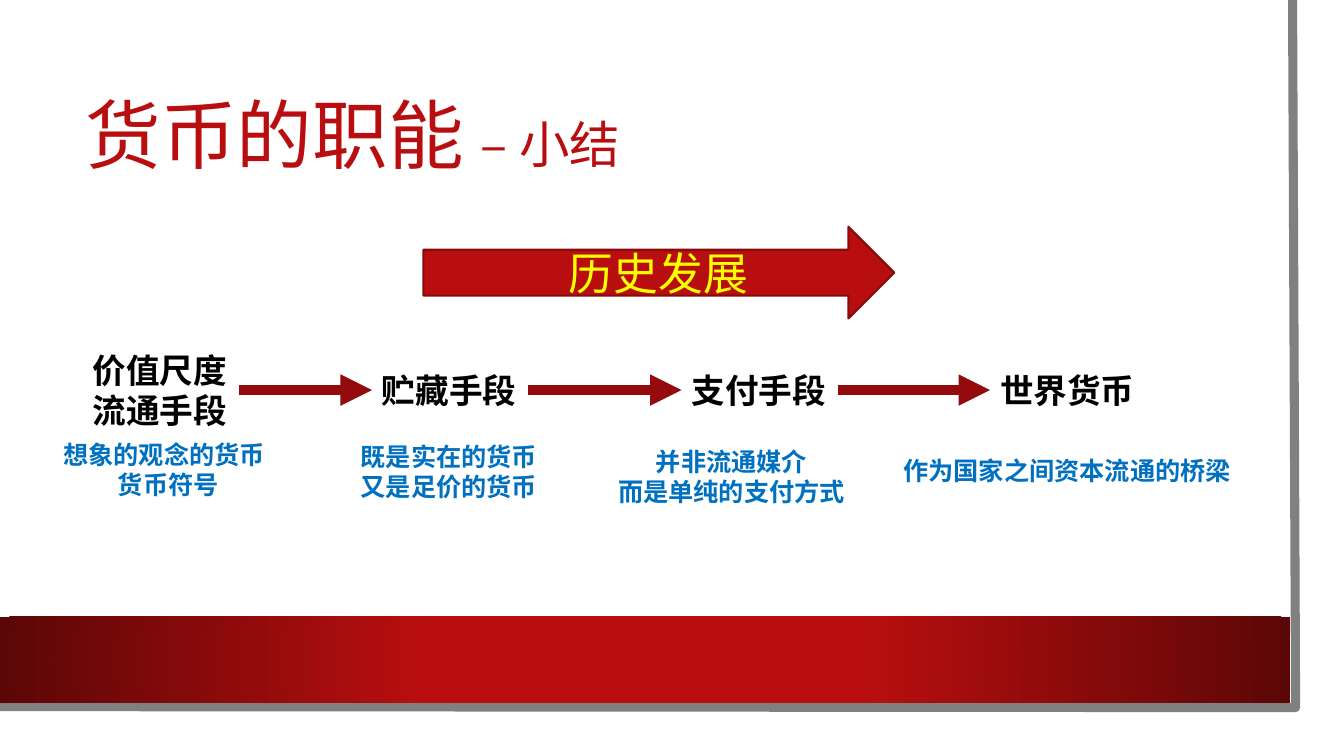
from dataclasses import dataclass
from itertools import pairwise

from lxml import etree
from pptx import Presentation
from pptx import util as u
from pptx.dml.color import RGBColor
from pptx.enum import shapes, text
from pptx.oxml import ns

EMU_PER_PX = 9144


@dataclass(frozen=True)
class Theme:
    font: str = "Noto Sans CJK SC"
    paper: str = "FFFFFF"
    edge: str = "808080"
    red: str = "B80E0F"
    band_end: str = "5C0707"
    outline: str = "880A0B"
    link: str = "930B0C"
    history: str = "FFFF00"
    stage: str = "000000"
    note: str = "0070C0"
    title_size: int = 54
    subtitle_size: int = 36
    history_size: int = 32
    stage_size: int = 24
    note_size: int = 18


@dataclass(frozen=True)
class Box:
    left: int
    top: int
    width: int
    height: int

    def emu(self) -> list[int]:
        return [px(n) for n in (self.left, self.top, self.width, self.height)]


@dataclass(frozen=True)
class Stage:
    name: str
    name_box: Box
    note: str
    note_box: Box
    note_aligns: tuple


THEME = Theme()
LEFT, CENTER = text.PP_ALIGN.LEFT, text.PP_ALIGN.CENTER
LINK_Y = 387
STAGES = [
    Stage("价值尺度\n流通手段", Box(82, 342, 155, 91),
          "想象的观念的货币\n货币符号", Box(53, 431, 228, 71), (LEFT, CENTER)),
    Stage("贮藏手段", Box(369, 362, 155, 50),
          "既是实在的货币\n又是足价的货币", Box(348, 433, 196, 71), (LEFT, LEFT)),
    Stage("支付手段", Box(676, 362, 155, 50),
          "并非流通媒介\n而是单纯的支付方式", Box(602, 438, 247, 71), (CENTER, CENTER)),
    Stage("世界货币", Box(982, 362, 155, 50),
          "作为国家之间资本流通的桥梁", Box(886, 447, 346, 40), (LEFT,)),
]


def px(length: int) -> int:
    return u.Emu(length * EMU_PER_PX)


def rgb(color: str) -> RGBColor:
    return RGBColor.from_string(color)


def format_run(run, size: int, color: str, bold: bool = False) -> None:
    run.font.size = u.Pt(size)
    run.font.name = THEME.font
    run.font.bold = bold
    run.font.color.rgb = rgb(color)
    east_asian = etree.Element(ns.qn("a:ea"), typeface=THEME.font)
    run.font._element.find(ns.qn("a:latin")).addnext(east_asian)


def add_label(slide, words: str, box: Box, size: int, color: str,
              aligns: tuple, bold: bool = True) -> None:
    frame = slide.shapes.add_textbox(*box.emu()).text_frame
    frame.word_wrap = True
    frame.auto_size = text.MSO_AUTO_SIZE.SHAPE_TO_FIT_TEXT
    frame.text = words
    for paragraph, align in zip(frame.paragraphs, aligns):
        paragraph.alignment = align
        format_run(paragraph.runs[0], size, color, bold)


def add_block(slide, kind, box: Box, fill: str):
    block = slide.shapes.add_shape(kind, *box.emu())
    block.shadow.inherit = False
    block.fill.solid()
    block.fill.fore_color.rgb = rgb(fill)
    block.line.fill.background()
    return block


def add_radial_fill(block) -> None:
    block.fill.gradient()
    gradient = block._element.spPr.find(ns.qn("a:gradFill"))
    for child in list(gradient):
        gradient.remove(child)
    stops = etree.SubElement(gradient, ns.qn("a:gsLst"))
    for position, color in ((34, THEME.red), (100, THEME.band_end)):
        stop = etree.SubElement(stops, ns.qn("a:gs"), pos=str(position * 1000))
        etree.SubElement(stop, ns.qn("a:srgbClr"), val=color)
    radial = etree.SubElement(gradient, ns.qn("a:path"), path="circle")
    etree.SubElement(radial, ns.qn("a:fillToRect"),
                     dict.fromkeys("ltrb", "50000"))


def add_backdrop(slide) -> None:
    add_block(slide, shapes.MSO_SHAPE.RECTANGLE, Box(0, 0, 1310, 727), THEME.paper)
    builder = slide.shapes.build_freeform(1282, 0, scale=EMU_PER_PX)
    builder.add_line_segments([(1285, 702), (-3, 701)], close=False)
    edge = builder.convert_to_shape()
    edge.shadow.inherit = False
    edge.fill.background()
    edge.line.color.rgb = rgb(THEME.edge)
    edge.line.width = u.Pt(6.5)
    band = add_block(slide, shapes.MSO_SHAPE.RECTANGLE, Box(0, 612, 1280, 85), THEME.red)
    add_radial_fill(band)


def add_title(slide) -> None:
    title = slide.shapes.title
    slide.shapes.element.append(title._element)
    title.left, title.top, title.width, title.height = Box(75, 75, 1137, 126).emu()
    frame = title.text_frame
    frame.vertical_anchor = text.MSO_ANCHOR.MIDDLE
    frame.auto_size = text.MSO_AUTO_SIZE.NONE
    paragraph = frame.paragraphs[0]
    paragraph.alignment = LEFT
    paragraph.line_spacing = 0.9
    for words, size in (("货币的职能 ", THEME.title_size),
                        ("– 小结", THEME.subtitle_size)):
        run = paragraph.add_run()
        run.text = words
        format_run(run, size, THEME.red)


def add_history_arrow(slide) -> None:
    arrow = add_block(slide, shapes.MSO_SHAPE.RIGHT_ARROW, Box(420, 225, 467, 91), THEME.red)
    arrow.line.color.rgb = rgb(THEME.outline)
    arrow.line.width = u.Pt(1.5)
    add_label(slide, "历史发展", Box(553, 239, 200, 64), THEME.history_size,
              THEME.history, (CENTER,), bold=False)


def add_link(slide, start: Box, end: Box) -> None:
    link = slide.shapes.add_connector(
        shapes.MSO_CONNECTOR.STRAIGHT, px(start.left + start.width), px(LINK_Y),
        px(end.left), px(LINK_Y))
    link.line.color.rgb = rgb(THEME.link)
    link.line.width = u.Pt(7.5)
    etree.SubElement(link.line._get_or_add_ln(), ns.qn("a:tailEnd"), type="triangle")
    etree.SubElement(link._element.spPr, ns.qn("a:effectLst"))


def main() -> None:
    deck = Presentation()
    deck.slide_width, deck.slide_height = px(1333), px(750)
    slide = deck.slides.add_slide(deck.slide_layouts.get_by_name("Title Only"))
    add_backdrop(slide)
    add_title(slide)
    add_history_arrow(slide)
    for stage in STAGES:
        add_label(slide, stage.name, stage.name_box, THEME.stage_size,
                  THEME.stage, (LEFT, LEFT))
        add_label(slide, stage.note, stage.note_box, THEME.note_size,
                  THEME.note, stage.note_aligns)
    for start, end in pairwise(STAGES):
        add_link(slide, start.name_box, end.name_box)
    deck.save("out.pptx")


if __name__ == "__main__":
    main()
